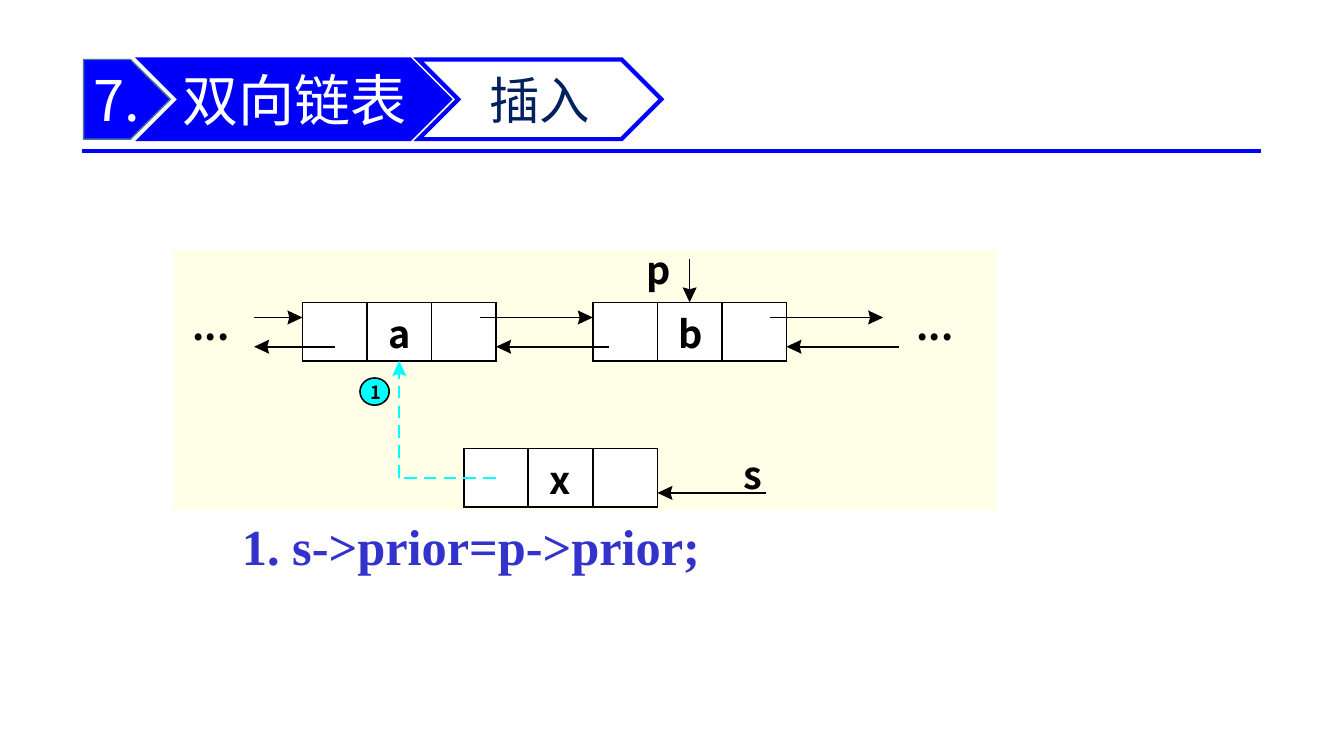
import pptx
import pptx.util
import pptx.dml.color
import pptx.enum.shapes
import pptx.enum.text
import pptx.oxml.ns
import lxml.etree
import math

Inches = pptx.util.Inches
Pt = pptx.util.Pt
KIND = pptx.enum.shapes.MSO_SHAPE
ALIGN = pptx.enum.text.PP_ALIGN
ANCHOR = pptx.enum.text.MSO_ANCHOR
SANS = "Noto Sans CJK SC"
BLUE, BLACK, WHITE, CYAN = "0000FF", "000000", "FFFFFF", "00FFFF"
THIN = 1.13
CELL_W, CELL_H = 0.64, 0.58


def color(code):
    return pptx.dml.color.RGBColor.from_string(code)


def child(parent, tag, **values):
    node = lxml.etree.SubElement(parent, pptx.oxml.ns.qn(tag))
    for key, value in values.items():
        node.set(key, value)
    return node


def paint(shape, fill, edge=None, width=THIN):
    shape.shadow.inherit = False
    shape.fill.solid()
    shape.fill.fore_color.rgb = color(fill)
    if edge:
        shape.line.color.rgb = color(edge)
        shape.line.width = Pt(width)
        # Sharp corners
        child(shape.line._get_or_add_ln(), "a:miter", lim="800000")
    else:
        shape.line.fill.background()


def block(slide, kind, box, fill, edge=None, width=THIN):
    shape = slide.shapes.add_shape(kind, *map(Inches, box))
    paint(shape, fill, edge, width)
    return shape


def write(shape, text, size, ink, font=SANS, bold=False,
          align=ALIGN.LEFT, pad=(0, 0, 0, 0), wrap=False, anchor=ANCHOR.TOP):
    frame = shape.text_frame
    frame.text = text
    frame.word_wrap = wrap
    frame.vertical_anchor = anchor
    (frame.margin_left, frame.margin_top,
     frame.margin_right, frame.margin_bottom) = map(Inches, pad)
    para = frame.paragraphs[0]
    para.alignment = align
    run = para.runs[0]
    run.font.size = Pt(size)
    run.font.bold = bold
    run.font.name = font
    run.font.color.rgb = color(ink)
    child(run.font._element, "a:ea", typeface=font)


def label(slide, text, left, top, size=27, wide=0.19):
    box = slide.shapes.add_textbox(
        Inches(left), Inches(top), Inches(wide), Inches(size / 60))
    write(box, text, size, BLACK, bold=True)


def line(slide, start, end, ink=BLACK, width=THIN, dash=False):
    link = slide.shapes.add_connector(
        pptx.enum.shapes.MSO_CONNECTOR.STRAIGHT, *map(Inches, start + end))
    link.line.color.rgb = color(ink)
    link.line.width = Pt(width)
    if dash:
        style = child(link.line._get_or_add_ln(), "a:custDash")
        child(style, "a:ds", d="800000", sp="450000")
    child(link._element.spPr, "a:effectLst")


def arrow(slide, start, end, ink=BLACK, dash=False):
    """Line with a solid, slightly notched head whose tip is at end."""
    span = math.dist(start, end)
    ux, uy = ((b - a) / span for a, b in zip(start, end))

    def spot(back, side):
        return (end[0] - back * ux - side * uy,
                end[1] - back * uy + side * ux)

    line(slide, start, spot(0.11, 0), ink, dash=dash)
    tip, *rest = [tuple(map(Inches, point)) for point in (
        end, spot(0.15, 0.07), spot(0.13, 0), spot(0.15, -0.07))]
    path = slide.shapes.build_freeform(*tip)
    path.add_line_segments(rest, close=True)
    paint(path.convert_to_shape(), ink)


def header(slide, left, top):
    """Banner of three arrow blocks above a rule."""
    high = 0.79
    line(slide, (left - 0.02, top + 0.91), (left + 11.68, top + 0.91), BLUE, 3)

    number = block(slide, KIND.PENTAGON, (left, top, 0.86, high),
                   BLUE, "43739E", 1)
    write(number, "7.", 40, WHITE, pad=(0.1, 0.05, 0.1, 0.05),
          wrap=True, anchor=ANCHOR.MIDDLE)

    block(slide, KIND.CHEVRON, (left + 0.56, top, 3.07, high),
          "0000FA", BLUE, 3)
    title = slide.shapes.title
    title.left, title.top = Inches(left + 0.94), Inches(top - 0.15)
    title.width, title.height = Inches(3.1), Inches(1.08)
    write(title, "双向链表", 40, WHITE, pad=(0.04, 0.02, 0, 0.02),
          wrap=True, anchor=ANCHOR.MIDDLE)
    # Bring the title in front of its chevron
    slide.shapes.element.append(title.element)

    topic = block(slide, KIND.CHEVRON, (left + 3.32, top, 2.41, high),
                  WHITE, BLUE, 3)
    write(topic, "插入", 36, "002060", align=ALIGN.CENTER,
          pad=(0.1, 0.05, 0.1, 0.05), wrap=True, anchor=ANCHOR.MIDDLE)


def node(slide, left, top, name):
    """Three cells: prior link, data, next link."""
    for i in range(3):
        block(slide, KIND.RECTANGLE,
              (left + i * CELL_W, top, CELL_W, CELL_H), WHITE, BLACK)
    label(slide, name, left + 0.85, top + 0.08)


def chain(slide, left, top):
    """Linked list with the new node below it."""
    block(slide, KIND.RECTANGLE, (left, top, 8.17, 2.58), "FFFFE7")
    row, low = top + 0.52, top + 1.97
    a, b, x = left + 1.28, left + 4.16, left + 2.88
    for spot, base, name in ((a, row, "a"), (b, row, "b"), (x, low, "x")):
        node(slide, spot, base, name)

    # Next links run right, prior links run left
    ahead, back = row + 0.15, row + 0.44
    wide = 3 * CELL_W
    arrow(slide, (a - 0.48, ahead), (a, ahead))
    arrow(slide, (a + 0.32, back), (a - 0.48, back))
    for start in (a + wide, b + wide):
        arrow(slide, (start - 0.16, ahead), (start + 0.96, ahead))
        arrow(slide, (start + 1.12, back), (start, back))
    for spot in (left + 0.19, left + 7.37):
        label(slide, "...", spot, row, wide=0.57)

    # Step 1: prior link of the new node
    mid, turn = a + 1.5 * CELL_W, low + CELL_H / 2
    line(slide, (x + 0.32, turn), (mid, turn), CYAN, dash=True)
    arrow(slide, (mid, turn), (mid, row + CELL_H), CYAN, dash=True)
    block(slide, KIND.OVAL, (mid - 0.39, row + 0.75, 0.29, 0.27), CYAN, BLACK)
    label(slide, "1", mid - 0.29, row + 0.78, 13, 0.09)

    # Pointers p and s
    peak = b + 1.5 * CELL_W
    arrow(slide, (peak, top + 0.09), (peak, row))
    label(slide, "p", peak - 0.43, top - 0.03)
    arrow(slide, (x + wide + 1.08, low + 0.44), (x + wide, low + 0.44))
    label(slide, "s", x + wide + 0.85, low + 0.03)


def code(slide, left, top):
    box = slide.shapes.add_textbox(
        Inches(left), Inches(top), Inches(4.75), Inches(0.7))
    write(box, "1. s->prior=p->prior;", 36, "3333CC", "Times New Roman", True,
          pad=(0.1, 0.05, 0.1, 0.05))


def main():
    deck = pptx.Presentation()
    deck.slide_width, deck.slide_height = Inches(13.33), Inches(7.5)
    slide = deck.slides.add_slide(deck.slide_layouts[5])
    code(slide, 2.3, 5.06)
    chain(slide, 1.72, 2.48)
    header(slide, 0.83, 0.59)
    deck.save("out.pptx")


if __name__ == "__main__":
    main()
